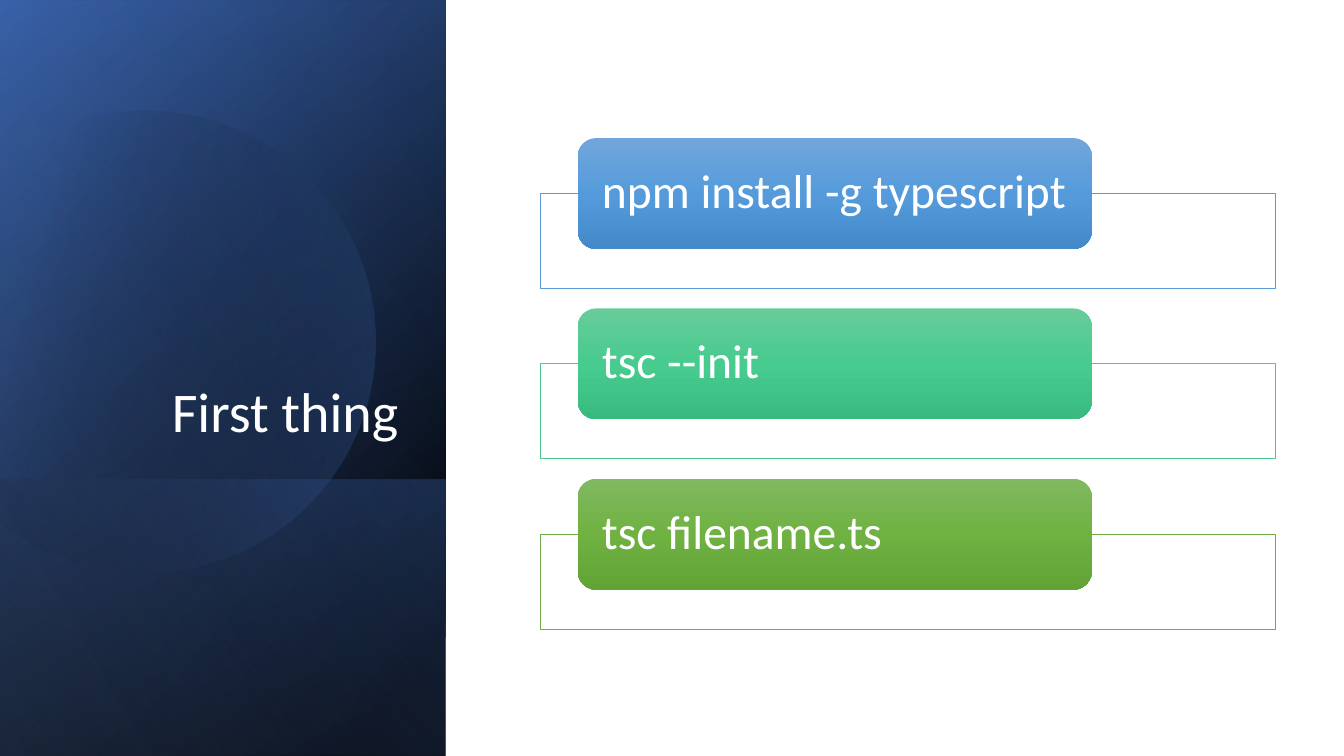
import math
from itertools import pairwise
from lxml import etree
from pptx import Presentation
from pptx import util as u
from pptx.dml.color import RGBColor
from pptx.enum import shapes, text
from pptx.oxml.ns import qn

WHITE = RGBColor(0xFF, 0xFF, 0xFF)
BLACK = RGBColor(0x00, 0x00, 0x00)
NAVY = RGBColor(0x2F, 0x55, 0x97)
BLUE = RGBColor(0x44, 0x72, 0xC4)
PALE_BLUE = RGBColor(0x8F, 0xAA, 0xDC)
SKY = RGBColor(0x5B, 0x9B, 0xD5)
SKY_SHADES = (RGBColor(0x71, 0xA6, 0xDB), RGBColor(0x55, 0x9B, 0xDB), RGBColor(0x44, 0x8A, 0xCA))
MINT = RGBColor(0x4D, 0xC5, 0x8D)
MINT_SHADES = (RGBColor(0x67, 0xCC, 0x9A), RGBColor(0x47, 0xCB, 0x8E), RGBColor(0x39, 0xBB, 0x7F))
GREEN = RGBColor(0x70, 0xAD, 0x47)
GREEN_SHADES = (RGBColor(0x81, 0xB8, 0x61), RGBColor(0x6F, 0xB2, 0x42), RGBColor(0x62, 0xA3, 0x36))

RECT = shapes.MSO_SHAPE.RECTANGLE
ROUNDED = shapes.MSO_SHAPE.ROUNDED_RECTANGLE


def write(tf, content, size, align, anchor, font="Calibri", color=WHITE):
    tf.word_wrap = True
    tf.auto_size = text.MSO_AUTO_SIZE.NONE
    tf.vertical_anchor = anchor
    p = tf.paragraphs[0]
    p.alignment = align
    p.line_spacing = 0.9
    r = p.add_run()
    r.text = content
    r.font.name = font
    r.font.size = u.Pt(size)
    r.font.color.rgb = color


def set_opacity(color_element, opacity):
    etree.SubElement(color_element, qn("a:alpha"), val=str(opacity * 1000))


def set_gradient(sp, stops, angle):
    sp.fill.gradient()
    sp.fill.gradient_angle = 360 - angle
    stop_list = sp._element.spPr.find(".//" + qn("a:gsLst"))
    for old in list(stop_list):
        stop_list.remove(old)
    for position, color, opacity in stops:
        stop = etree.SubElement(stop_list, qn("a:gs"), pos=str(position * 1000))
        rgb = etree.SubElement(stop, qn("a:srgbClr"), val=str(color))
        if opacity < 100:
            set_opacity(rgb, opacity)


class CommandSlide:
    def __init__(self, prs):
        self.s = prs.slides.add_slide(prs.slide_layouts[5])

    def title(self, content, left, top, width, height):
        sp = self.s.shapes.title
        sp.left, sp.top = u.Inches(left), u.Inches(top)
        sp.width, sp.height = u.Inches(width), u.Inches(height)
        write(sp.text_frame, content, 40, text.PP_ALIGN.RIGHT, text.MSO_ANCHOR.BOTTOM)

    def shape(self, kind, left, top, width, height):
        sp = self.s.shapes.add_shape(
            kind, u.Inches(left), u.Inches(top), u.Inches(width), u.Inches(height))
        sp.shadow.inherit = False
        sp.line.fill.background()
        return sp

    def side_panel(self, left, top, width, stops, angle):
        sp = self.shape(RECT, left, top, width, 4.42)
        sp.rotation = 90
        sp._element.spPr.xfrm.set("flipH", "1")
        set_gradient(sp, stops, angle)

    def cut_circle(self, center_x, center_y, radius, stops, angle):
        corners = (-118, -90, 0, 90, 150)
        points = [(u.Inches(center_x + radius * math.cos(math.radians(a))),
                   u.Inches(center_y + radius * math.sin(math.radians(a))))
                  for a in corners]
        builder = self.s.shapes.build_freeform(*points[0])
        builder.add_line_segments(points[1:], close=True)
        sp = builder.convert_to_shape()
        sides = list(sp._element.spPr.iter(qn("a:lnTo")))
        size = str(u.Inches(radius))
        for side, (start, end) in zip(sides, pairwise(corners)):
            arc = etree.Element(
                qn("a:arcTo"), wR=size, hR=size,
                stAng=str(start % 360 * 60000), swAng=str((end - start) * 60000))
            side.getparent().replace(side, arc)
        sp.shadow.inherit = False
        sp.line.fill.background()
        sp.rotation = 343.9
        set_gradient(sp, stops, angle)

    def command(self, content, top, outline, shades):
        frame = self.shape(RECT, 5.36, top + 0.55, 7.29, 0.94)
        frame.fill.solid()
        frame.fill.fore_color.rgb = WHITE
        set_opacity(frame._element.spPr.find(qn("a:solidFill"))[0], 90)
        frame.line.color.rgb = outline
        frame.line.width = u.Pt(0.5)

        button = self.shape(ROUNDED, 5.73, top, 5.1, 1.1)
        set_gradient(button, [(i * 50, c, 100) for i, c in enumerate(shades)], 90)

        label = self.s.shapes.add_textbox(
            u.Inches(5.78), u.Inches(top + 0.05), u.Inches(5), u.Inches(0.99))
        tf = label.text_frame
        tf.margin_left = tf.margin_right = u.Inches(0.19)
        tf.margin_top = tf.margin_bottom = 0
        write(tf, content, 34, text.PP_ALIGN.LEFT, text.MSO_ANCHOR.MIDDLE)


def main():
    prs = Presentation()
    prs.slide_width, prs.slide_height = u.Inches(13.33), u.Inches(7.5)
    slide = CommandSlide(prs)

    slide.side_panel(-1.54, 1.54, 7.5, [(8, BLACK, 100), (100, NAVY, 100)], 50)
    slide.side_panel(-1.54, 1.55, 7.5, [(0, BLACK, 0), (99, BLUE, 46)], 30)
    slide.side_panel(0.84, 3.92, 2.74, [(2, BLUE, 29), (100, BLACK, 30)], 130)
    slide.cut_circle(1.43, 3.35, 2.29, [(29, BLACK, 0), (100, BLUE, 43)], 30)
    slide.side_panel(-1.54, 1.54, 7.5, [(0, BLACK, 0), (99, PALE_BLUE, 11)], 120)

    title = slide.s.shapes.title._element
    title.getparent().append(title)
    slide.title("First thing", 0.64, 1.84, 3.41, 2.62)

    commands = [
        ("npm install -g typescript", SKY, SKY_SHADES),
        ("tsc --init", MINT, MINT_SHADES),
        ("tsc filename.ts", GREEN, GREEN_SHADES),
    ]
    for i, (content, outline, shades) in enumerate(commands):
        slide.command(content, 1.37 + i * 1.69, outline, shades)

    prs.save("out.pptx")


if __name__ == "__main__":
    main()
